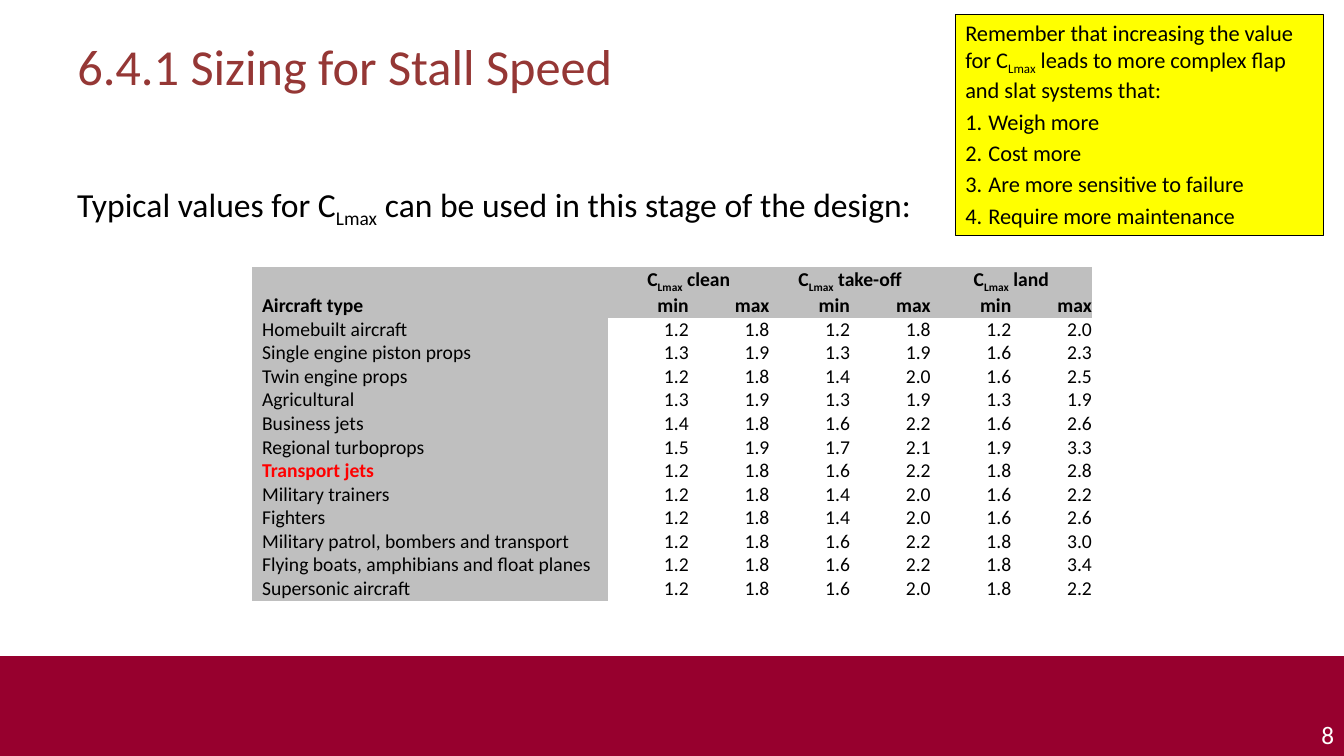
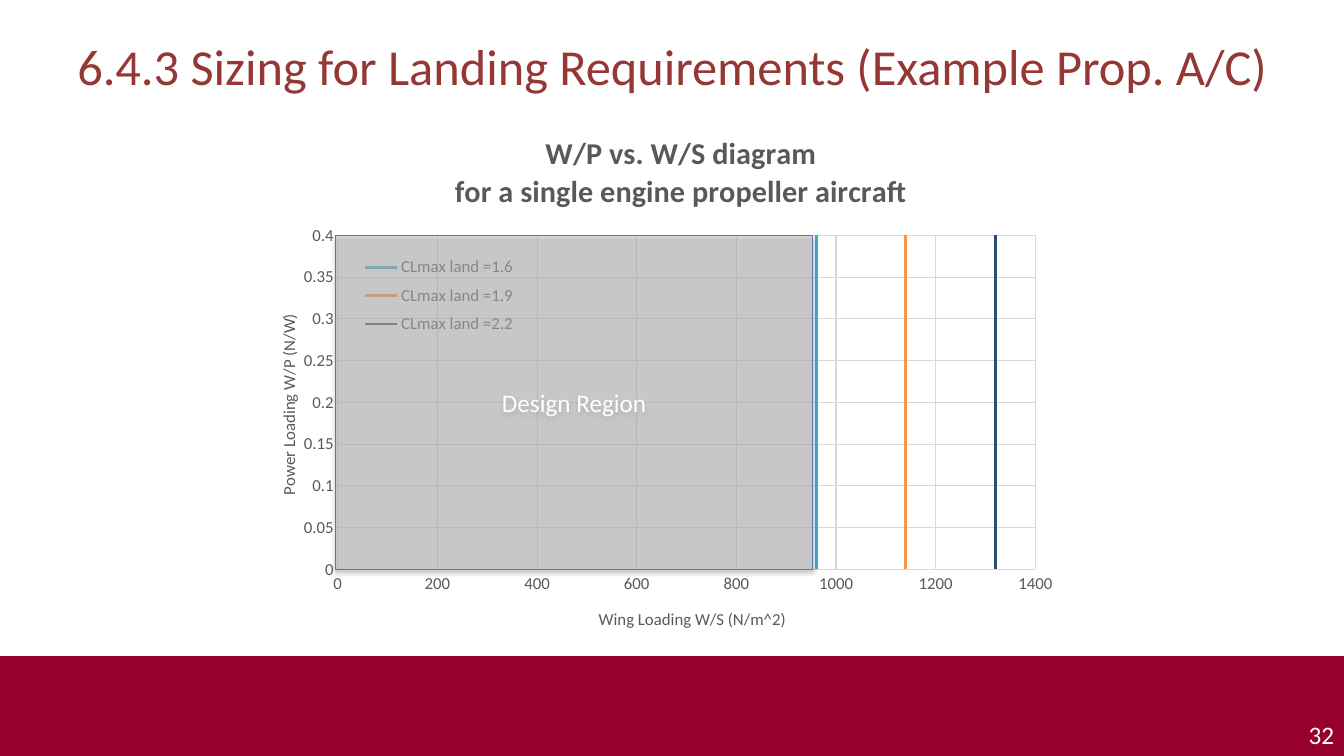
from dataclasses import dataclass

from lxml import etree
from pptx import Presentation
from pptx.chart.data import XyChartData
from pptx.dml.color import RGBColor
from pptx.enum.chart import XL_CHART_TYPE, XL_LEGEND_POSITION, XL_TICK_MARK
from pptx.enum.shapes import MSO_SHAPE
from pptx.enum.text import MSO_ANCHOR, MSO_AUTO_SIZE, PP_ALIGN
from pptx.oxml.ns import qn
from pptx.util import Pt

LEFT, CENTER, RIGHT = PP_ALIGN.LEFT, PP_ALIGN.CENTER, PP_ALIGN.RIGHT
TOP, MIDDLE, BOTTOM = MSO_ANCHOR.TOP, MSO_ANCHOR.MIDDLE, MSO_ANCHOR.BOTTOM
RECT = MSO_SHAPE.RECTANGLE
SCATTER = XL_CHART_TYPE.XY_SCATTER_SMOOTH_NO_MARKERS
LEGEND_BOTTOM = XL_LEGEND_POSITION.BOTTOM
NO_TICK = XL_TICK_MARK.NONE
NO_GRID_STYLE = "{2D5ABB26-0587-4C30-8999-92F81FD0307C}"


@dataclass(frozen=True)
class Theme:
    font: str = "Calibri"
    title: str = "953735"
    band: str = "97002E"
    white: str = "FFFFFF"
    black: str = "000000"
    red: str = "FF0000"
    grey: str = "BFBFBF"
    note: str = "FFFF00"
    outline: str = "4B7EBC"
    chart_text: str = "595959"
    grid: str = "D9D9D9"
    title_size: float = 36
    body_size: float = 24
    chart_title_size: float = 21.6
    label_size: float = 18
    note_size: float = 16
    table_size: float = 14
    axis_size: float = 12


T = Theme()

AIRCRAFT = [
    ("Homebuilt aircraft", "1.2 1.8 1.2 1.8 1.2 2.0"),
    ("Single engine piston props", "1.3 1.9 1.3 1.9 1.6 2.3"),
    ("Twin engine props", "1.2 1.8 1.4 2.0 1.6 2.5"),
    ("Agricultural", "1.3 1.9 1.3 1.9 1.3 1.9"),
    ("Business jets", "1.4 1.8 1.6 2.2 1.6 2.6"),
    ("Regional turboprops", "1.5 1.9 1.7 2.1 1.9 3.3"),
    ("Transport jets", "1.2 1.8 1.6 2.2 1.8 2.8"),
    ("Military trainers", "1.2 1.8 1.4 2.0 1.6 2.2"),
    ("Fighters", "1.2 1.8 1.4 2.0 1.6 2.6"),
    ("Military patrol, bombers and transport", "1.2 1.8 1.6 2.2 1.8 3.0"),
    ("Flying boats, amphibians and float planes", "1.2 1.8 1.6 2.2 1.8 3.4"),
    ("Supersonic aircraft", "1.2 1.8 1.6 2.0 1.8 2.2"),
]
HIGHLIGHTED = "Transport jets"
LANDING_LIMITS = [
    ("CLmax land =1.6", 960, "4BACC6", 2.25),
    ("CLmax land =1.9", 1140, "F79646", 2.25),
    ("CLmax land =2.2", 1320, "2C4D75", 1.5),
]


def rgb(value):
    return RGBColor.from_string(value)


def style_font(font, size, color, bold=False):
    font.name, font.size, font.bold = T.font, Pt(size), bold
    font.color.rgb = rgb(color)


def add_run(p, text, size, color, bold=False, subscript=False):
    r = p.add_run()
    r.text = text
    style_font(r.font, size, color, bold)
    if subscript:
        r.font._element.set("baseline", "-25000")


def add_clmax(p, before, after, size, color=T.black, bold=False):
    add_run(p, before + "C", size, color, bold)
    add_run(p, "Lmax", size, color, bold, subscript=True)
    add_run(p, after, size, color, bold)


def add_text(s, box, align=LEFT):
    tf = s.shapes.add_textbox(*map(Pt, box)).text_frame
    tf.word_wrap = True
    tf.paragraphs[0].alignment = align
    return tf.paragraphs[0]


def add_box(s, box, fill, line=None):
    sp = s.shapes.add_shape(RECT, *map(Pt, box))
    sp.shadow.inherit = False
    sp.fill.solid()
    sp.fill.fore_color.rgb = rgb(fill)
    if line:
        sp.line.color.rgb = rgb(line)
        sp.line.width = Pt(0.75)
    else:
        sp.line.fill.background()
    return sp


def add_slide(prs, title, number, title_width):
    s = prs.slides.add_slide(prs.slide_layouts[5])
    add_box(s, (0, 468.7, 960, 71.3), T.band)
    add_run(add_text(s, (909, 510.5, 51, 29), RIGHT), number, T.label_size, T.white)
    sp = s.shapes.title
    sp.left, sp.top, sp.width, sp.height = map(Pt, (48, 21.6, title_width, 90))
    tf = sp.text_frame
    tf.vertical_anchor, tf.auto_size, tf.word_wrap = TOP, MSO_AUTO_SIZE.NONE, True
    tf.paragraphs[0].alignment = LEFT
    add_run(tf.paragraphs[0], title, T.title_size, T.title)
    return s


def format_cell(cell, align, shaded, side_margin=0):
    cell.vertical_anchor = BOTTOM
    cell.margin_top = cell.margin_bottom = 0
    cell.margin_left = cell.margin_right = Pt(side_margin)
    if shaded:
        cell.fill.solid()
        cell.fill.fore_color.rgb = rgb(T.grey)
    p = cell.text_frame.paragraphs[0]
    p.alignment = align
    p._p.get_or_add_endParaRPr().set("sz", str(T.table_size * 100))
    return p


def add_lift_table(s):
    rows = [("", [""] * 6), ("Aircraft type", ["min", "max"] * 3)]
    rows += [(name, values.split()) for name, values in AIRCRAFT]
    row_height = 16.8
    frame = s.shapes.add_table(len(rows), 7, Pt(180), Pt(190.9), Pt(600),
                               Pt(row_height * len(rows)))
    table = frame.table
    table._tbl.tblPr.find(qn("a:tableStyleId")).text = NO_GRID_STYLE
    table.horz_banding = False
    for i, column in enumerate(table.columns):
        column.width = Pt(57.6 if i else 254.4)
    for i, (name, values) in enumerate(rows):
        table.rows[i].height = Pt(row_height)
        heading = i < 2
        for j, text in enumerate([name] + values):
            label = j == 0
            p = format_cell(table.cell(i, j), LEFT if label else RIGHT,
                            heading or label, 7.2 if label else 0)
            marked = text == HIGHLIGHTED
            if text:
                add_run(p, text, T.table_size, T.red if marked else T.black,
                        heading or marked)
    for j, phase in enumerate(("clean", "take-off", "land")):
        cell = table.cell(0, 1 + 2 * j)
        cell.merge(table.cell(0, 2 + 2 * j))
        p = cell.text_frame.paragraphs[0]
        p.alignment = CENTER
        add_clmax(p, "", " " + phase, T.table_size, bold=True)


def add_note(s):
    tf = add_box(s, (682.4, 10.1, 262.9, 158.4), T.note, T.black).text_frame
    tf.word_wrap = True
    tf.vertical_anchor = TOP
    p = tf.paragraphs[0]
    p.alignment = LEFT
    add_clmax(p, "Remember that increasing the value for ",
              " leads to more complex flap and slat systems that:", T.note_size)
    for text in ("Weigh more", "Cost more", "Are more sensitive to failure",
                 "Require more maintenance"):
        p = tf.add_paragraph()
        pPr = p._p.get_or_add_pPr()
        pPr.set("marL", str(Pt(16.5)))
        pPr.set("indent", str(-Pt(16.5)))
        etree.SubElement(pPr, qn("a:buAutoNum"), type="arabicPeriod")
        p.alignment = LEFT
        p.space_before = Pt(3.2)
        add_run(p, text, T.note_size, T.black)


def place(element, after=None, inner=False, **fractions):
    for old in element.findall(qn("c:layout")):
        element.remove(old)
    layout = etree.Element(qn("c:layout"))
    manual = etree.SubElement(layout, qn("c:manualLayout"))
    if inner:
        etree.SubElement(manual, qn("c:layoutTarget"), val="inner")
    for key in "xy":
        etree.SubElement(manual, qn(f"c:{key}Mode"), val="edge")
    for key, value in fractions.items():
        etree.SubElement(manual, qn(f"c:{key}"), val=str(value))
    if after:
        element.find(qn(after)).addnext(layout)
    else:
        element.insert(0, layout)


def format_axis(axis, title, maximum, step, x, y, rotation):
    axis.minimum_scale, axis.maximum_scale, axis.major_unit = 0, maximum, step
    axis.major_tick_mark = axis.minor_tick_mark = NO_TICK
    axis.format.line.fill.background()
    axis.has_major_gridlines = True
    line = axis.major_gridlines.format.line
    line.color.rgb, line.width = rgb(T.grid), Pt(0.75)
    style_font(axis.tick_labels.font, T.axis_size, T.chart_text)
    tf = axis.axis_title.text_frame
    tf._txBody.bodyPr.set("rot", str(rotation * 60000))
    tf._txBody.bodyPr.set("vert", "horz")
    add_run(tf.paragraphs[0], title, T.axis_size, T.chart_text)
    place(axis.axis_title._element, "c:tx", x=x, y=y)


def add_landing_chart(s):
    data = XyChartData()
    for name, loading, _, _ in LANDING_LIMITS:
        series = data.add_series(name)
        for power in (0, 0.4):
            series.add_data_point(loading, power)
    chart = s.shapes.add_chart(SCATTER, *map(Pt, (177.8, 85.7, 604.1, 368.6)), data).chart
    style_font(chart.font, T.axis_size, T.chart_text)
    chart.has_title = True
    tf = chart.chart_title.text_frame
    for p, text in ((tf.paragraphs[0], "W/P vs. W/S diagram"),
                    (tf.add_paragraph(), "for a single engine propeller aircraft")):
        p.alignment = CENTER
        add_run(p, text, T.chart_title_size, T.chart_text, bold=True)
    place(chart.chart_title._element, "c:tx", x=0.24, y=0.02)
    format_axis(chart.category_axis, "Wing Loading W/S (N/m^2)", 1400, 200, 0.41, 0.94, 0)
    format_axis(chart.value_axis, "Power Loading W/P (N/W)", 0.4, 0.05, 0.03, 0.37, -90)
    chart.has_legend = True
    chart.legend.position = LEGEND_BOTTOM
    chart.legend.include_in_layout = True
    style_font(chart.legend.font, T.axis_size, T.chart_text)
    place(chart.legend._element, "c:legendPos", x=0.13, y=0.25, w=0.19, h=0.18)
    place(chart._chartSpace.chart.plotArea, inner=True, x=0.105, y=0.224, w=0.825, h=0.647)
    for series, (_, _, color, width) in zip(chart.plots[0].series, LANDING_LIMITS):
        series.format.line.color.rgb = rgb(color)
        series.format.line.width = Pt(width)
        series.smooth = True


def add_design_region(s):
    sp = add_box(s, (239.8, 168.5, 340.6, 238.3), T.grey, T.outline)
    spPr = sp._element.spPr
    fill = spPr.find(qn("a:solidFill")).find(qn("a:srgbClr"))
    etree.SubElement(fill, qn("a:alpha"), val="53000")
    shadow = etree.SubElement(spPr.find(qn("a:effectLst")), qn("a:outerShdw"),
                              blurRad=str(Pt(3.1)), dist=str(Pt(1.8)),
                              dir="5400000", rotWithShape="0")
    color = etree.SubElement(shadow, qn("a:srgbClr"), val=T.black)
    etree.SubElement(color, qn("a:alpha"), val="35000")
    sp.text_frame.vertical_anchor = MIDDLE
    p = sp.text_frame.paragraphs[0]
    p.alignment = CENTER
    add_run(p, "Design Region", T.label_size, T.white)


def main():
    prs = Presentation()
    prs.slide_width, prs.slide_height = Pt(960), Pt(540)

    s = add_slide(prs, "6.4.1 Sizing for Stall Speed", "8", 864)
    add_clmax(add_text(s, (48, 127.5, 864, 40)), "Typical values for ",
              " can be used in this stage of the design:", T.body_size)
    add_lift_table(s)
    add_note(s)

    s = add_slide(prs, "6.4.3 Sizing for Landing Requirements (Example Prop. A/C)", "32", 888)
    add_landing_chart(s)
    add_design_region(s)

    prs.save("out.pptx")


if __name__ == "__main__":
    main()
